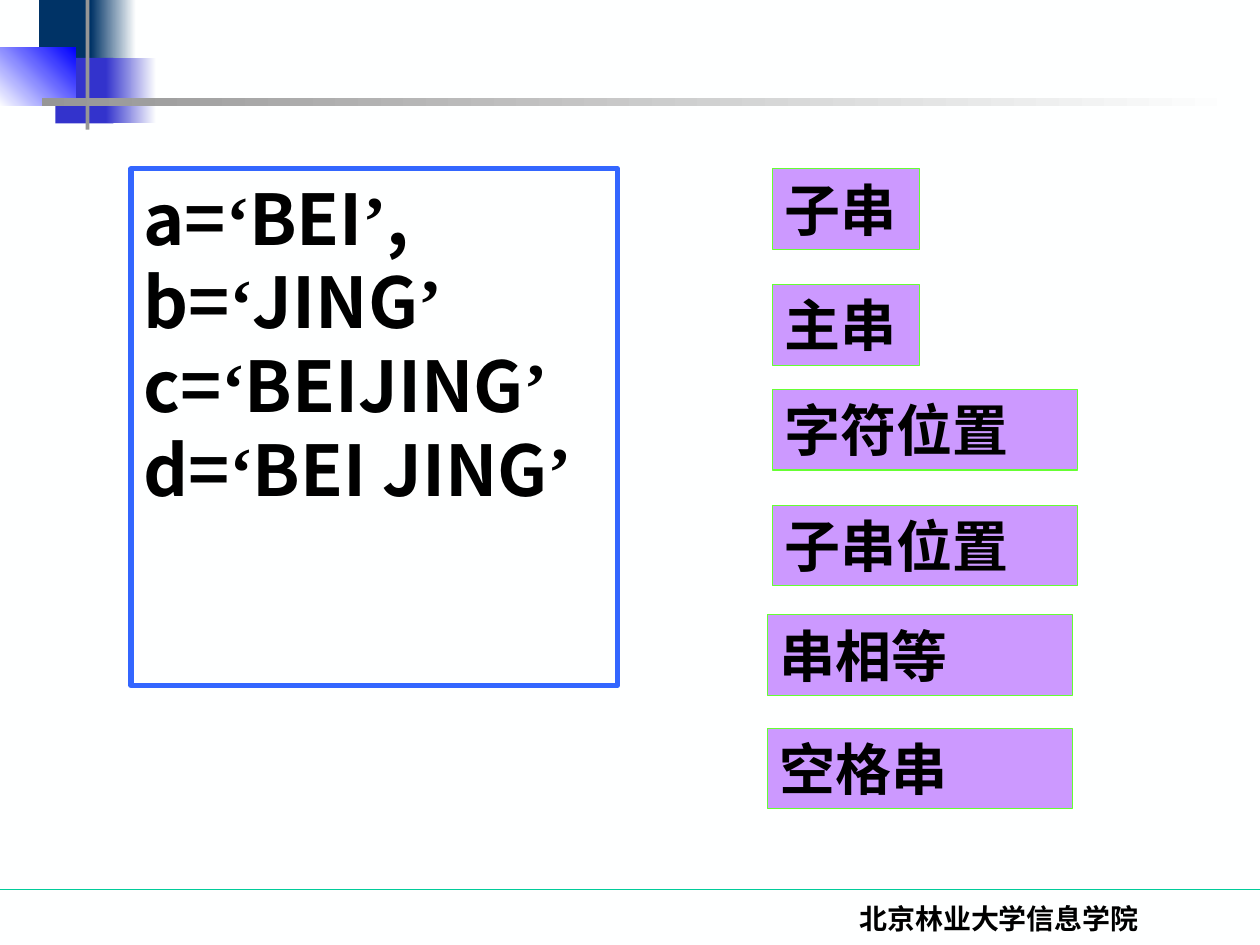
from pptx import Presentation
from pptx.dml.color import RGBColor
from pptx.enum import shapes, text
from pptx.oxml.ns import qn
from pptx.util import Inches, Pt

SANS = "Noto Sans CJK SC"
SERIF = "Times New Roman"
PAPER = "FEFFFF"


def rgb(value):
    return RGBColor.from_string(value)


def add_rect(s, box, fill=None, line=None, width=0.75, angle=0):
    """Rectangle; fill is a colour, a pair of gradient colours, or None."""
    sp = s.shapes.add_shape(shapes.MSO_SHAPE.RECTANGLE, *map(Inches, box))
    sp.shadow.inherit = False
    if fill is None:
        sp.fill.background()
    elif isinstance(fill, tuple):
        sp.fill.gradient()
        sp.fill.gradient_angle = angle
        for stop, position, color in zip(sp.fill.gradient_stops, (0, 1), fill):
            stop.position = position
            stop.color.rgb = rgb(color)
    else:
        sp.fill.solid()
        sp.fill.fore_color.rgb = rgb(fill)
    if line:
        sp.line.color.rgb = rgb(line)
        sp.line.width = Pt(width)
    else:
        sp.line.fill.background()
    return sp


def write(sp, lines, size, align=text.PP_ALIGN.LEFT):
    """Fill a shape with lines, each a list of (text, font) runs."""
    tf = sp.text_frame
    tf.word_wrap = True
    tf.vertical_anchor = text.MSO_ANCHOR.TOP
    for i, runs in enumerate(lines):
        p = tf.paragraphs[0] if i == 0 else tf.add_paragraph()
        p.alignment = align
        p.line_spacing = Pt(size * 1.2)
        for content, font in runs:
            r = p.add_run()
            r.text = content
            r.font.name = font
            r.font.size = Pt(size)
            r.font.bold = True
            r.font.color.rgb = rgb("000000")
            # East Asian typeface; the serif one has no Chinese glyphs
            ea = r.font._element.makeelement(qn("a:ea"), {
                "typeface": font if content in "‘’" else SANS})
            r.font._element.find(qn("a:latin")).addnext(ea)


def add_ornament(s, left, top):
    """Overlapping squares and crossing bars in the corner."""
    parts = [
        ((0.32, 0, 0.48, 0.52), "003366", 0),
        ((0.73, 0, 0.36, 0.52), ("003366", PAPER), 0),
        ((0.45, 0.46, 0.46, 0.52), "3333CC", 0),
        ((0.85, 0.46, 0.4, 0.52), ("3333CC", PAPER), 0),
        ((0, 0.38, 0.61, 0.46), (PAPER, "0000FF"), 45),
        ((0.69, -0.12, 0.03, 1.15), "969696", 0),
        ((0.34, 0.78, 9.51, 0.06), ("969696", PAPER), 0),
    ]
    for (x, y, w, h), fill, angle in parts:
        add_rect(s, (left + x, top + y, w, h), fill, angle=angle)


def add_footer(s, top):
    """Thin rule with the school name below it."""
    rule = s.shapes.add_connector(shapes.MSO_CONNECTOR.STRAIGHT,
                                  0, Inches(top), Inches(10), Inches(top))
    rule.line.color.rgb = rgb("00CC99")
    rule.line.width = Pt(0.75)
    sp_pr = rule._element.spPr
    sp_pr.append(sp_pr.makeelement(qn("a:effectLst"), {}))
    name = s.shapes.add_textbox(Inches(5.86), Inches(top + 0.05),
                                Inches(4.14), Inches(0.5))
    write(name, [[("北京林业大学信息学院", SERIF)]], 16, text.PP_ALIGN.CENTER)


def add_examples(s, box):
    """Framed string assignments, with serif quotation marks."""
    values = [("a=", "BEI", ","), ("b=", "JING", ""),
              ("c=", "BEIJING", ""), ("d=", "BEI JING", "")]
    lines = []
    for variable, value, tail in values:
        runs = [(variable, SANS), ("‘", SERIF), (value, SANS), ("’", SERIF)]
        lines.append(runs + ([(tail, SANS)] if tail else []))
    write(add_rect(s, box, line="3366FF", width=3), lines, 40)


def add_terms(s, left, top):
    """Column of string terms: label, x and y offset, width."""
    terms = [("子串", 0.04, 0, 1.17), ("主串", 0.04, 0.92, 1.17),
             ("字符位置", 0.04, 1.75, 2.42), ("子串位置", 0.04, 2.67, 2.42),
             ("串相等", 0, 3.54, 2.42), ("空格串", 0, 4.44, 2.42)]
    for label, x, y, width in terms:
        sp = add_rect(s, (left + x, top + y, width, 0.64), "CC99FF", "66FF33")
        write(sp, [[(label, SANS)]], 32)


def main():
    prs = Presentation()
    prs.slide_width, prs.slide_height = Inches(10), Inches(7.5)
    s = prs.slides.add_slide(prs.slide_layouts[6])
    s.background.fill.solid()
    s.background.fill.fore_color.rgb = rgb(PAPER)
    add_footer(s, 7.06)
    add_ornament(s, -0.01, 0)
    add_examples(s, (1.04, 1.34, 3.86, 4.1))
    add_terms(s, 6.09, 1.34)
    prs.save("out.pptx")


if __name__ == "__main__":
    main()
